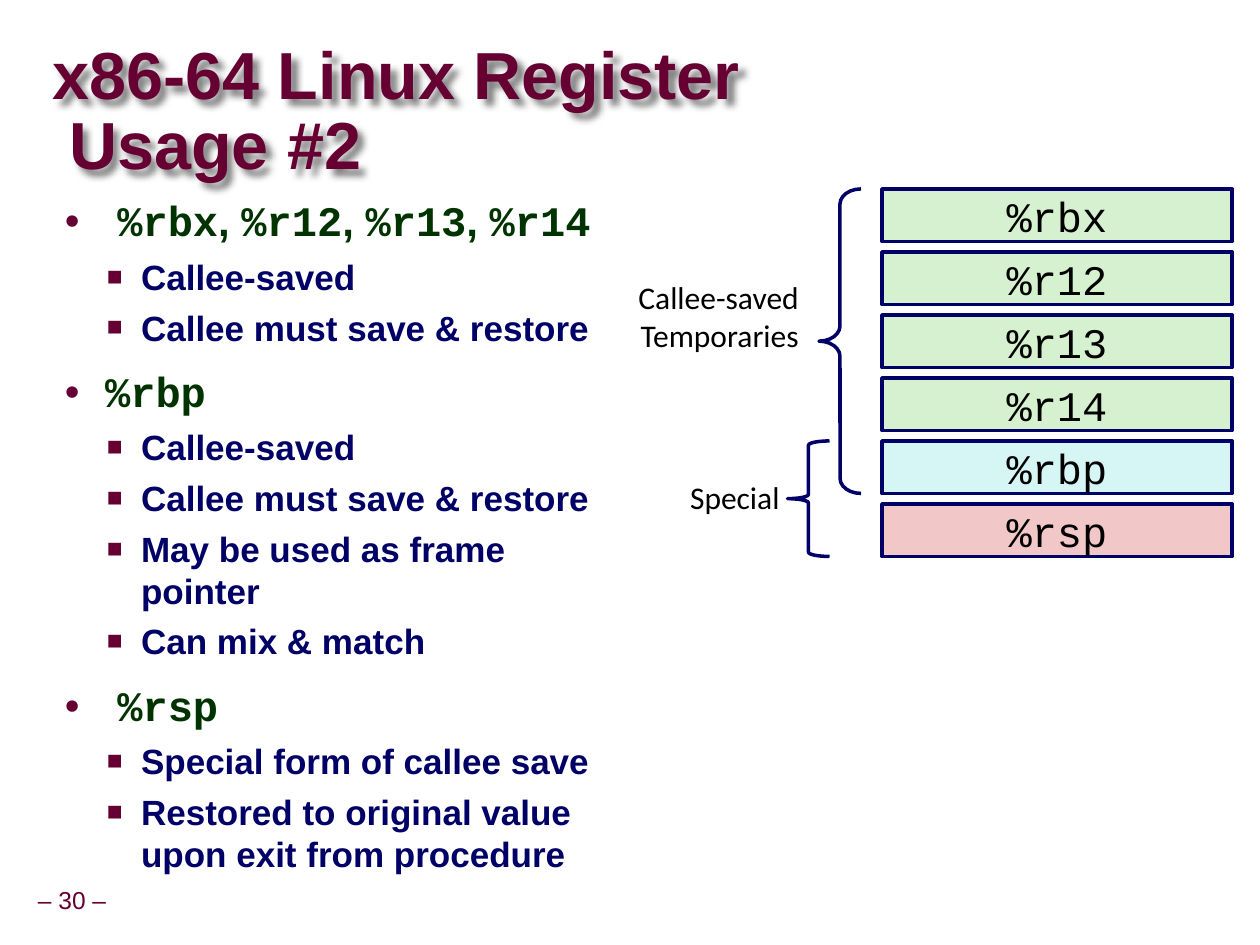
from lxml.etree import SubElement
from pptx import Presentation
from pptx.dml.color import RGBColor
from pptx.enum.shapes import MSO_SHAPE
from pptx.enum.text import MSO_ANCHOR, PP_ALIGN
from pptx.oxml.ns import qn
from pptx.util import Pt

COLORS = {
    "maroon": "660033", "navy": "000066", "dark_green": "003300", "black": "000000",
    "green": "D5F1CF", "cyan": "D6F5F5", "red": "F1C7C7", "shadow": "808080",
}
TITLE = "x86-64 Linux Register Usage #2"
PAGE_NUMBER = "– 30 –"
SECTIONS = [
    (["%rbx", "%r12", "%r13", "%r14"], 30,
     ["Callee-saved", "Callee must save & restore"]),
    (["%rbp"], 23,
     ["Callee-saved", "Callee must save & restore",
      "May be used as frame pointer", "Can mix & match"]),
    (["%rsp"], 30,
     ["Special form of callee save",
      "Restored to original value upon exit from procedure"]),
]
REGISTERS = [
    ("%rbx", "green"), ("%r12", "green"), ("%r13", "green"),
    ("%r14", "green"), ("%rbp", "cyan"), ("%rsp", "red"),
]
BRACES = [(468, 0, 4, 0.36), (450, 4, 5, 0.1)]
BRACE_LABELS = [
    (["Callee-saved", "Temporaries"], (360, 156, 99.5, 50)),
    (["Special"], (389, 270, 59.5, 28)),
]
REGISTER_LEFT, REGISTER_TOP, REGISTER_STEP = 504, 108, 36
REGISTER_WIDTH, REGISTER_HEIGHT = 200, 30


def color(name):
    return RGBColor.from_string(COLORS[name])


def set_font(font, name, size, color_name, bold=False):
    font.name, font.size, font.bold = name, Pt(size), bold
    font.color.rgb = color(color_name)


def set_frame(frame, inset_x=0, inset_y=0, anchor=MSO_ANCHOR.TOP, wrap=True):
    frame.margin_left = frame.margin_right = Pt(inset_x)
    frame.margin_top = frame.margin_bottom = Pt(inset_y)
    frame.vertical_anchor, frame.word_wrap = anchor, wrap


def add_text_box(slide, box, **layout):
    shape = slide.shapes.add_textbox(*map(Pt, box))
    set_frame(shape.text_frame, **layout)
    return shape


def next_paragraph(frame):
    first = frame.paragraphs[0]
    return frame.add_paragraph() if first.runs else first


def set_indent(paragraph, margin, indent):
    properties = paragraph._p.get_or_add_pPr()
    properties.set("marL", str(Pt(margin)))
    properties.set("indent", str(Pt(indent)))
    return properties


def set_bullet(paragraph, character, margin, indent, percent=100):
    properties = set_indent(paragraph, margin, indent)
    bullet_color = SubElement(properties, qn("a:buClr"))
    SubElement(bullet_color, qn("a:srgbClr"), val=COLORS["maroon"])
    SubElement(properties, qn("a:buSzPct"), val=str(percent * 1000))
    SubElement(properties, qn("a:buFont"), typeface="Arial")
    SubElement(properties, qn("a:buChar"), char=character)


def add_text_shadow(shape):
    effects = SubElement(shape._element.spPr, qn("a:effectLst"))
    shadow = SubElement(effects, qn("a:outerShdw"), blurRad=str(Pt(4)),
                        dist=str(Pt(4)), dir="2700000", algn="tl", rotWithShape="0")
    SubElement(shadow, qn("a:srgbClr"), val=COLORS["shadow"])


def add_title(slide):
    shape = add_text_box(slide, (30, 20, 474, 90), anchor=MSO_ANCHOR.MIDDLE)
    add_text_shadow(shape)
    paragraph = shape.text_frame.paragraphs[0]
    paragraph.text = TITLE
    paragraph.line_spacing = 0.87
    set_indent(paragraph, 9.5, -9.5)
    set_font(paragraph.font, "Arial", 38, "maroon", True)


def add_body(slide):
    frame = add_text_box(slide, (30, 110, 320, 346), inset_x=7.2, inset_y=3.6).text_frame
    for index, (names, margin, details) in enumerate(SECTIONS):
        heading = next_paragraph(frame)
        heading.line_spacing = 0.95
        if index:
            heading.space_before = Pt(12)
        set_bullet(heading, "•", margin, -30)
        for position, name in enumerate(names):
            if position:
                separator = heading.add_run()
                separator.text = ", "
                set_font(separator.font, "Arial", 24, "dark_green", True)
            run = heading.add_run()
            run.text = name
            set_font(run.font, "Courier New", 24, "dark_green", True)
        for detail in details:
            paragraph = next_paragraph(frame)
            paragraph.text, paragraph.level = detail, 1
            paragraph.space_before = Pt(5)
            set_bullet(paragraph, "■", 43.5, -19.5, 75)
            set_font(paragraph.font, "Arial", 20, "navy", True)


def add_outlined(slide, kind, box):
    shape = slide.shapes.add_shape(kind, *map(Pt, box))
    shape.shadow.inherit = False
    shape.line.color.rgb = color("navy")
    shape.line.width = Pt(2)
    return shape


def add_registers(slide):
    for index, (name, fill) in enumerate(REGISTERS):
        top = REGISTER_TOP + index * REGISTER_STEP
        shape = add_outlined(slide, MSO_SHAPE.RECTANGLE,
                             (REGISTER_LEFT, top, REGISTER_WIDTH, REGISTER_HEIGHT))
        shape.fill.solid()
        shape.fill.fore_color.rgb = color(fill)
        set_frame(shape.text_frame, anchor=MSO_ANCHOR.MIDDLE)
        paragraph = shape.text_frame.paragraphs[0]
        paragraph.text, paragraph.alignment = name, PP_ALIGN.CENTER
        set_font(paragraph.font, "Courier New", 24, "black")


def add_braces(slide):
    for left, first, last, curve in BRACES:
        height = (last - first) * REGISTER_STEP + REGISTER_HEIGHT
        brace = add_outlined(slide, MSO_SHAPE.LEFT_BRACE,
                             (left, REGISTER_TOP + first * REGISTER_STEP, 24, height))
        brace.fill.background()
        brace.adjustments[0] = curve
    for lines, box in BRACE_LABELS:
        frame = add_text_box(slide, box, inset_x=3, inset_y=3, wrap=False).text_frame
        for line in lines:
            paragraph = next_paragraph(frame)
            paragraph.text, paragraph.alignment = line, PP_ALIGN.RIGHT
            set_font(paragraph.font, "Calibri", 18, "black")


def add_page_number(slide):
    shape = add_text_box(slide, (17.5, 504, 47.5, 22), inset_x=3.6, inset_y=3.6,
                         anchor=MSO_ANCHOR.MIDDLE, wrap=False)
    paragraph = shape.text_frame.paragraphs[0]
    paragraph.text, paragraph.alignment = PAGE_NUMBER, PP_ALIGN.CENTER
    paragraph.line_spacing = 0.9
    set_font(paragraph.font, "Arial", 14, "maroon")


def main():
    presentation = Presentation()
    presentation.slide_width, presentation.slide_height = Pt(720), Pt(540)
    slide = presentation.slides.add_slide(presentation.slide_layouts[6])
    add_page_number(slide)
    add_title(slide)
    add_body(slide)
    add_registers(slide)
    add_braces(slide)
    presentation.save("out.pptx")


if __name__ == "__main__":
    main()
